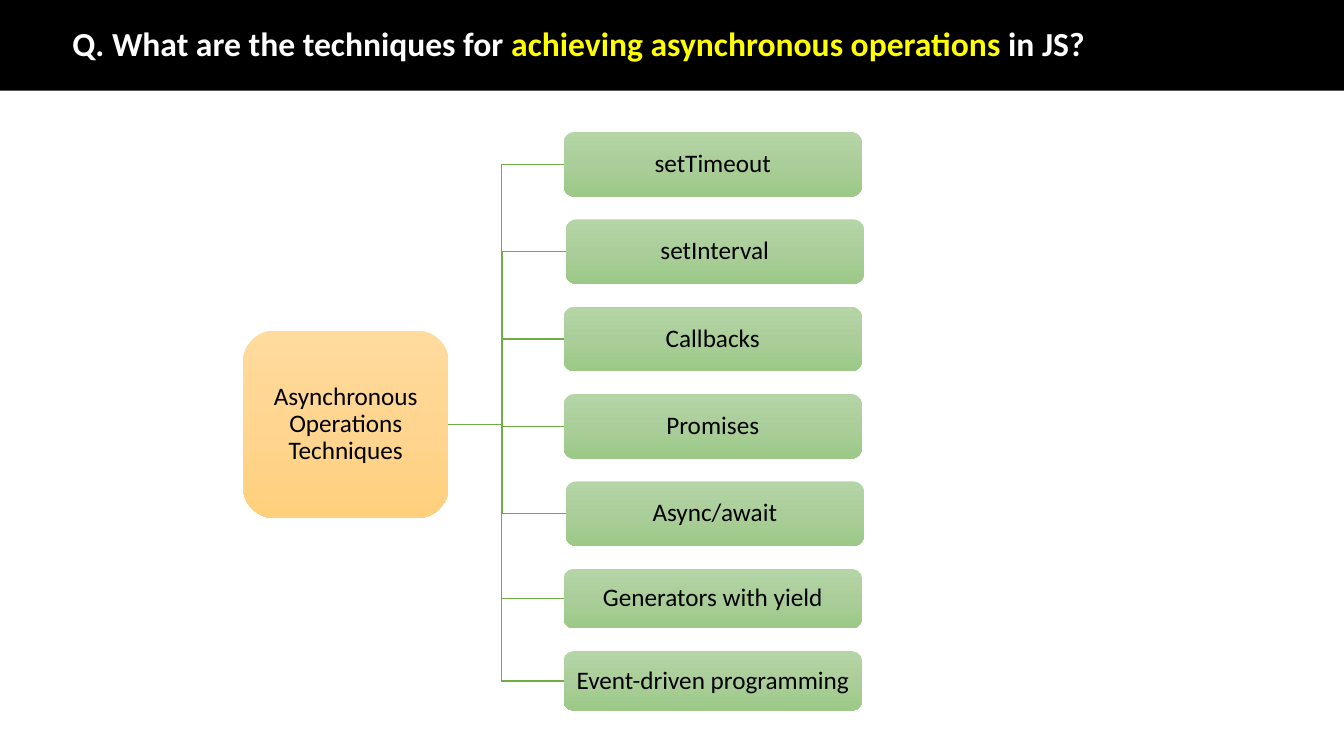
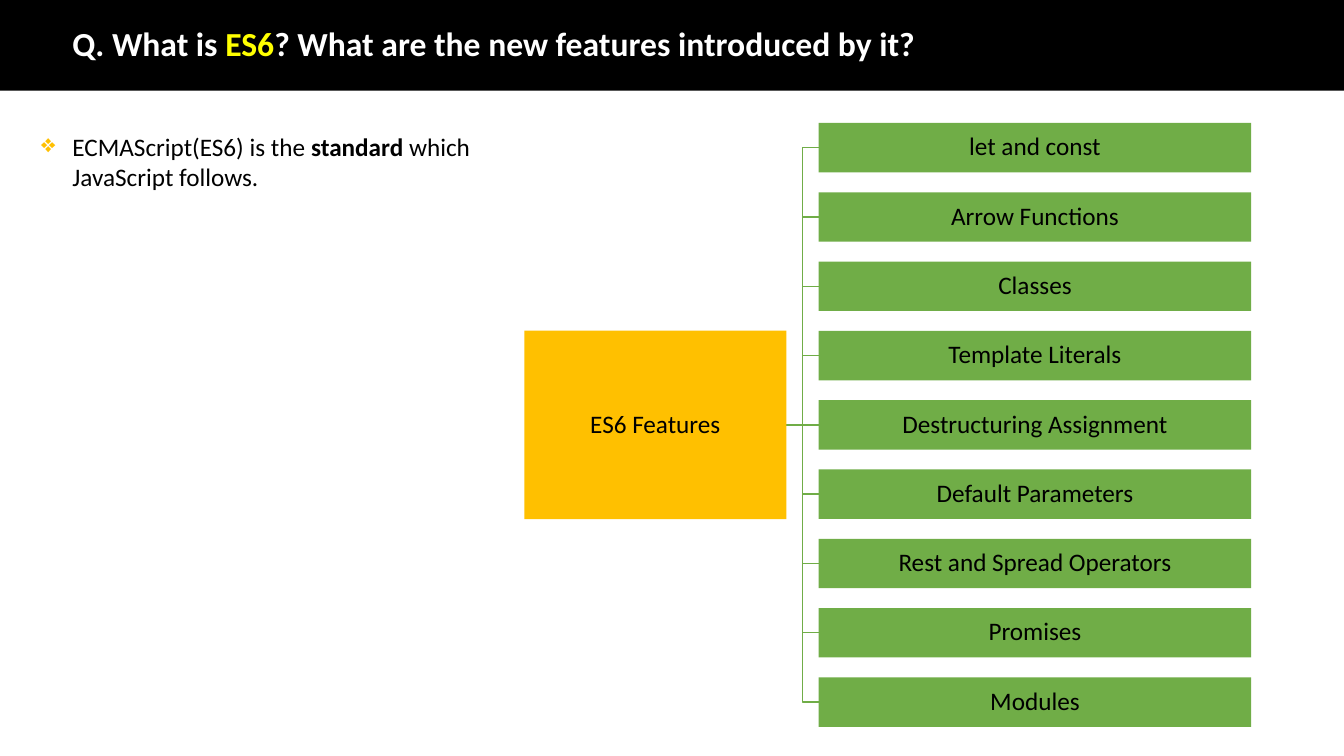
from collections import namedtuple
from copy import deepcopy

from pptx import Presentation
from pptx import util as u
from pptx.dml.color import RGBColor
from pptx.enum import shapes, text
from pptx.oxml import ns, xmlchemy

FONT = "Calibri"
BLACK = RGBColor(0x00, 0x00, 0x00)
WHITE = RGBColor(0xFF, 0xFF, 0xFF)
YELLOW = RGBColor(0xFF, 0xFF, 0x00)
AMBER = RGBColor(0xFF, 0xC0, 0x00)
GREEN = RGBColor(0x70, 0xAD, 0x47)
SOFT_AMBER = [RGBColor(0xFF, 0xDB, 0x9E), RGBColor(0xFF, 0xD5, 0x90), RGBColor(0xFF, 0xD0, 0x7C)]
SOFT_GREEN = [RGBColor(0xB5, 0xD5, 0xA7), RGBColor(0xAA, 0xCE, 0x9A), RGBColor(0x9C, 0xC9, 0x87)]

WIDTH, HEIGHT = 13.33, 7.5
Box = namedtuple("Box", "left top width height")
Style = namedtuple("Style", "geometry root_fill branch_fill")
ROUNDED = Style(shapes.MSO_SHAPE.FLOWCHART_ALTERNATE_PROCESS, SOFT_AMBER, SOFT_GREEN)
SQUARE = Style(shapes.MSO_SHAPE.RECTANGLE, AMBER, GREEN)


def inches(box):
    return [u.Inches(length) for length in box]


def add_run(paragraph, words, size, color, bold=False):
    run = paragraph.add_run()
    run.text = words
    run.font.name, run.font.size, run.font.bold = FONT, u.Pt(size), bold
    run.font.color.rgb = color


def fill_shape(shape, fill):
    """Solid for one colour, top-to-bottom gradient for a list of three."""
    if isinstance(fill, RGBColor):
        shape.fill.solid()
        shape.fill.fore_color.rgb = fill
        return
    shape.fill.gradient()
    shape.fill.gradient_angle = 270
    stop_list = next(shape._element.iter(ns.qn("a:gsLst")))
    stop_list.insert(1, deepcopy(stop_list[0]))
    for stop, color, position in zip(shape.fill.gradient_stops, fill, (0, 0.5, 1)):
        stop.color.rgb = color
        stop.position = position


def add_block(slide, box, geometry, fill):
    shape = slide.shapes.add_shape(geometry, *inches(box))
    shape.shadow.inherit = False
    shape.line.fill.background()
    fill_shape(shape, fill)
    return shape


def add_text_box(slide, box):
    frame = slide.shapes.add_textbox(*inches(box)).text_frame
    frame.word_wrap = True
    return frame


def add_node(slide, box, style, fill, label):
    frame = add_block(slide, box, style.geometry, fill).text_frame
    frame.word_wrap = True
    frame.vertical_anchor = text.MSO_ANCHOR.MIDDLE
    frame.margin_left = frame.margin_right = u.Inches(0.01)
    frame.margin_top = frame.margin_bottom = u.Inches(0.01)
    paragraph = frame.paragraphs[0]
    paragraph.alignment = text.PP_ALIGN.CENTER
    paragraph.line_spacing = 0.9
    add_run(paragraph, label, 18, BLACK)


def add_elbow(slide, start, end):
    connector = slide.shapes.add_connector(
        shapes.MSO_CONNECTOR.ELBOW, *inches((*start, *end)))
    connector.line.color.rgb = GREEN
    connector.line.width = u.Pt(1)
    connector._element.spPr.append(xmlchemy.OxmlElement("a:effectLst"))


def add_title_band(slide, parts):
    """Black band with a question; parts are (words, colour) pairs."""
    add_block(slide, Box(0, -0.01, WIDTH, 0.91), shapes.MSO_SHAPE.RECTANGLE, BLACK)
    frame = add_text_box(slide, Box(0.62, 0.28, 11.5, 0.35))
    frame.vertical_anchor = text.MSO_ANCHOR.MIDDLE
    paragraph = frame.paragraphs[0]
    paragraph.line_spacing = 0.9
    for words, color in parts:
        add_run(paragraph, words, 24, color, bold=True)


def stack(area, heights):
    """Boxes of the given heights, spread over the area with equal gaps."""
    gap = (area.height - sum(heights)) / (len(heights) - 1)
    top = area.top
    for height in heights:
        yield Box(area.left, top, area.width, height)
        top += height + gap


def add_tree(slide, style, root_box, root_label, branches, tuck=0):
    """Root with branches (box, label); elbows start tuck inside the root."""
    start = (root_box.left + root_box.width - tuck, root_box.top + root_box.height / 2)
    for box, _ in branches:
        add_elbow(slide, start, (box.left, box.top + box.height / 2))
    add_node(slide, root_box, style, style.root_fill, root_label)
    for box, label in branches:
        add_node(slide, box, style, style.branch_fill, label)


def add_bullet_text(slide, box, parts):
    """One bulleted paragraph; parts are (words, bold) pairs."""
    paragraph = add_text_box(slide, box).paragraphs[0]
    properties = paragraph._p.get_or_add_pPr()
    properties.set("marL", str(u.Inches(0.31)))
    properties.set("indent", str(-u.Inches(0.31)))
    bullet_color = xmlchemy.OxmlElement("a:buClr")
    color = xmlchemy.OxmlElement("a:srgbClr")
    color.set("val", str(AMBER))
    bullet_color.append(color)
    bullet = xmlchemy.OxmlElement("a:buChar")
    bullet.set("char", "❖")
    properties.extend([bullet_color, bullet])
    for words, bold in parts:
        add_run(paragraph, words, 18, BLACK, bold)


def build_async_slide(slide):
    add_title_band(slide, [
        ("Q. What are the techniques for ", WHITE),
        ("achieving asynchronous operations", YELLOW),
        (" in JS?", WHITE),
    ])
    # Label, height and sideways shift of each technique
    techniques = [
        ("setTimeout", 0.64, 0),
        ("setInterval", 0.64, 0.02),
        ("Callbacks", 0.64, 0),
        ("Promises", 0.64, 0),
        ("Async/await", 0.64, 0.02),
        ("Generators with yield", 0.59, 0),
        ("Event-driven programming", 0.59, 0),
    ]
    boxes = stack(Box(5.59, 1.31, 2.96, 5.74), [height for _, height, _ in techniques])
    branches = [(box._replace(left=box.left + shift), label)
                for box, (label, _, shift) in zip(boxes, techniques)]
    add_tree(slide, ROUNDED, Box(2.41, 3.28, 2.04, 1.86),
             "Asynchronous Operations Techniques", branches, tuck=0.09)


def build_es6_slide(slide):
    add_title_band(slide, [
        ("Q. What is ", WHITE),
        ("ES6", YELLOW),
        ("? What are the new features introduced by it?", WHITE),
    ])
    features = ["let and const", "Arrow Functions", "Classes", "Template Literals",
                "Destructuring Assignment", "Default Parameters",
                "Rest and Spread Operators", "Promises", "Modules"]
    boxes = stack(Box(8.12, 1.22, 4.29, 5.99), [0.49] * len(features))
    add_tree(slide, SQUARE, Box(5.2, 3.28, 2.6, 1.87), "ES6 Features",
             list(zip(boxes, features)))
    add_bullet_text(slide, Box(0.31, 1.25, 5.31, 0.71), [
        ("ECMAScript(ES6) is the ", False),
        ("standard", True),
        (" which JavaScript follows.", False),
    ])


def main():
    presentation = Presentation()
    presentation.slide_width = u.Inches(WIDTH)
    presentation.slide_height = u.Inches(HEIGHT)
    blank = presentation.slide_layouts[6]
    for build in (build_async_slide, build_es6_slide):
        build(presentation.slides.add_slide(blank))
    presentation.save("out.pptx")


if __name__ == "__main__":
    main()
